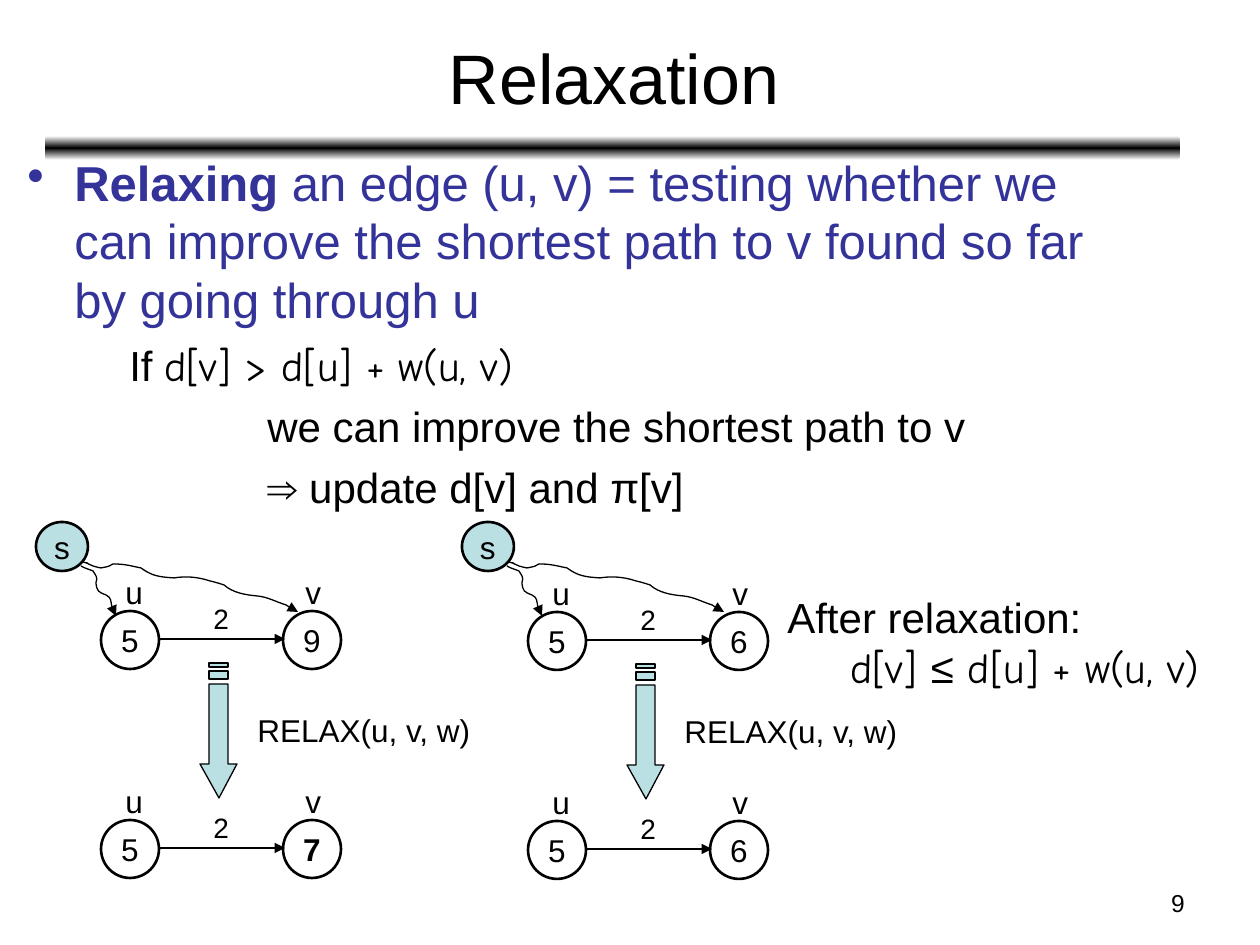
from copy import deepcopy
from pptx import Presentation
from pptx.dml.color import RGBColor
from pptx.enum.shapes import MSO_CONNECTOR, MSO_SHAPE
from pptx.enum.text import MSO_ANCHOR, MSO_AUTO_SIZE, PP_ALIGN
from pptx.oxml.ns import qn
from pptx.oxml.xmlchemy import OxmlElement
from pptx.util import Emu, Pt

SCALE = 914400 / 126
BLACK, WHITE, BLUE, AQUA = "000000", "FFFFFF", "333399", "BBE0E3"
SANS, COMIC = "Arial", "Comic Neue"

BODY = [
    (47, -47, 0, [("Relaxing ", 28, SANS, BLUE, True),
                  ("an edge (u, v) = testing whether we can improve the shortest path "
                   "to v found so far by going through u", 28, SANS, BLUE, False)]),
    (102, 0, 6, [("If ", 24, SANS, BLACK, False),
                 ("d[v] > d[u] + w(u, v)", 24, COMIC, BLACK, False)]),
    (240, 0, 6, [("we can improve the shortest path to v", 24, SANS, BLACK, False)]),
    (240, 0, 6, [("⇒ update d[v] and π[v]", 24, SANS, BLACK, False)]),
]
AFTER = [
    (0, 0, 0, [("After relaxation:", 24, SANS, BLACK, False)]),
    (63, 0, 0, [("d[v] ", 24, COMIC, BLACK, False), ("≤", 24, SANS, BLACK, False),
                (" d[u] + w(u, v)", 24, COMIC, BLACK, False)]),
]
EXAMPLES = [
    {"shift": (0, 0), "source_shift": 0, "before": "9", "after": "7", "changed": True},
    {"shift": (427, 1), "source_shift": 426, "before": "6", "after": "6", "changed": False},
]
ROW_STEP = 209
LABELS = [("2", 201, 595, 40, 47, 16), ("u", 113, 567, 43, 50, 18), ("v", 293, 567, 40, 50, 18)]
ARROW = [
    [(237, 764), (228, 764), (228, 684), (209, 684), (209, 764), (200, 764), (219, 798)],
    [(228, 671), (209, 671), (209, 679), (228, 679)],
    [(228, 663), (209, 663), (209, 667), (228, 667)],
]
PATH_TO_U = [
    (81, 566), (84, 568), (88, 569), (93, 571), (96, 576), (98, 577), (96, 583),
    (97, 591), (98, 592), (106, 595), (112, 598), (110, 602), (113, 610),
    (115, 615), (115, 612), (116, 616),
]
PATH_TO_V = [
    (83, 562), (96, 566), (77, 559), (93, 566), (96, 567), (101, 568), (101, 568),
    (111, 566), (107, 567), (113, 564), (125, 564), (131, 566), (141, 568),
    (152, 576), (159, 577), (174, 578), (186, 576), (198, 577), (210, 581),
    (215, 582), (224, 585), (224, 585), (233, 593), (246, 595), (257, 596),
    (268, 597), (276, 602), (286, 605), (288, 606), (292, 609), (295, 611),
    (296, 611), (298, 612), (298, 612),
]


def px(value):
    return Emu(round(value * SCALE))


def color(value):
    return RGBColor.from_string(value)


def style(font, size, name=SANS, fill=BLACK, bold=False):
    font.size, font.name, font.bold = Pt(size), name, bold
    font.color.rgb = color(fill)


def add_text(shapes, text, left, top, width, height, size, align=PP_ALIGN.LEFT):
    box = shapes.add_textbox(px(left), px(top), px(width), px(height))
    frame = box.text_frame
    frame.text = text
    frame.word_wrap = False
    frame.auto_size = MSO_AUTO_SIZE.SHAPE_TO_FIT_TEXT
    frame.paragraphs[0].alignment = align
    style(frame.paragraphs[0].runs[0].font, size)
    return box


def add_paragraphs(shapes, paragraphs, left, top, width, height):
    box = shapes.add_textbox(px(left), px(top), px(width), px(height))
    frame = box.text_frame
    frame.word_wrap = True
    for index, (margin, indent, before, spans) in enumerate(paragraphs):
        para = frame.add_paragraph() if index else frame.paragraphs[0]
        para.space_before = Pt(before)
        props = para._p.get_or_add_pPr()
        props.set("marL", str(px(margin)))
        props.set("indent", str(px(indent)))
        if indent:
            bullet = OxmlElement("a:buChar")
            bullet.set("char", "•")
            props.append(bullet)
        for text, *look in spans:
            span = para.add_run()
            span.text = text
            style(span.font, *look)


def add_node(shapes, text, left, top, width, height, fill=None, bold=False):
    node = shapes.add_shape(MSO_SHAPE.OVAL, px(left), px(top), px(width), px(height))
    node.shadow.inherit = False
    if fill:
        node.fill.solid()
        node.fill.fore_color.rgb = color(fill)
    else:
        node.fill.background()
    node.line.color.rgb = color(BLACK)
    node.line.width = Pt(1.5)
    frame = node.text_frame
    frame.text = text
    frame.word_wrap = False
    frame.vertical_anchor = MSO_ANCHOR.MIDDLE
    frame.paragraphs[0].alignment = PP_ALIGN.CENTER
    style(frame.paragraphs[0].runs[0].font, 18, bold=bold)


def add_arrowhead(line):
    tail = OxmlElement("a:tailEnd")
    tail.set("type", "triangle")
    line._get_or_add_ln().append(tail)


def add_outline(shapes, contours, dx, dy, closed):
    points = [[(px(x + dx), px(y + dy)) for x, y in contour] for contour in contours]
    builder = shapes.build_freeform(*points[0][0])
    for index, contour in enumerate(points):
        if index:
            builder.move_to(*contour[0])
        builder.add_line_segments(contour[1:], close=closed)
    outline = builder.convert_to_shape()
    outline.shadow.inherit = False
    outline.line.color.rgb = color(BLACK)
    outline.line.width = Pt(0.75)
    return outline


def bend(outline):
    segments = list(outline._element.iter(qn("a:lnTo")))
    for start in range(0, len(segments), 3):
        curve = OxmlElement("a:cubicBezTo")
        segments[start].addprevious(curve)
        for segment in segments[start:start + 3]:
            curve.append(segment[0])
            segment.getparent().remove(segment)


def add_edge(slide, dx, dy, value, bold):
    shapes = slide.shapes.add_group_shape().shapes
    add_node(shapes, "5", 101 + dx, 611 + dy, 58, 58)
    add_node(shapes, value, 283 + dx, 611 + dy, 58, 58, bold=bold)
    edge = shapes.add_connector(MSO_CONNECTOR.STRAIGHT, px(159 + dx), px(639 + dy),
                                px(285 + dx), px(639 + dy))
    edge.line.color.rgb = color(BLACK)
    edge.line.width = Pt(1.5)
    add_arrowhead(edge.line)
    edge._element.spPr.append(OxmlElement("a:effectLst"))
    for text, left, top, width, height, size in LABELS:
        add_text(shapes, text, left + dx, top + dy, width, height, size)


def add_source(slide, dx):
    shapes = slide.shapes.add_group_shape().shapes
    add_node(shapes, "s", 36 + dx, 522, 52, 49, fill=AQUA)
    for route in (PATH_TO_U, PATH_TO_V):
        line = add_outline(shapes, [route], dx, 0, False)
        bend(line)
        line.fill.background()
        add_arrowhead(line.line)


def add_bar(slide):
    bar = slide.shapes.add_shape(MSO_SHAPE.ROUNDED_RECTANGLE, px(45), px(136), px(1135), px(24))
    bar.shadow.inherit = False
    bar.line.fill.background()
    bar.fill.gradient()
    bar.fill.gradient_angle = 270
    stop_list = bar._element.spPr.find(qn("a:gradFill")).find(qn("a:gsLst"))
    stop_list.append(deepcopy(stop_list[0]))
    for stop, place, shade in zip(bar.fill.gradient_stops, (0, 0.5, 1), (WHITE, BLACK, WHITE)):
        stop.position = place
        stop.color.rgb = color(shade)


def main():
    deck = Presentation()
    deck.slide_width, deck.slide_height = px(1260), px(945)
    slide = deck.slides.add_slide(deck.slide_layouts[5])
    add_bar(slide)
    title = slide.shapes.title
    title.left, title.top, title.width, title.height = px(47), px(14), px(1134), px(125)
    title.text_frame.text = "Relaxation"
    title.text_frame.vertical_anchor = MSO_ANCHOR.MIDDLE
    title.text_frame.paragraphs[0].alignment = PP_ALIGN.CENTER
    style(title.text_frame.paragraphs[0].runs[0].font, 40)
    number = add_text(slide.shapes, "9", 903, 882, 294, 44, 14, PP_ALIGN.RIGHT)
    number.text_frame.word_wrap = True
    add_paragraphs(slide.shapes, BODY, 15, 146, 1134, 402)
    for example in EXAMPLES:
        dx, dy = example["shift"]
        add_edge(slide, dx, dy, example["before"], False)
        add_edge(slide, dx, dy + ROW_STEP, example["after"], example["changed"])
        arrow = add_outline(slide.shapes, ARROW, dx, dy, True)
        arrow.fill.solid()
        arrow.fill.fore_color.rgb = color(AQUA)
        add_text(slide.shapes, "RELAX(u, v, w)", 245 + dx, 705 + dy, 241, 50, 18)
        add_source(slide, example["source_shift"])
    add_paragraphs(slide.shapes, AFTER, 775, 585, 467, 113)
    deck.save("out.pptx")


if __name__ == "__main__":
    main()
